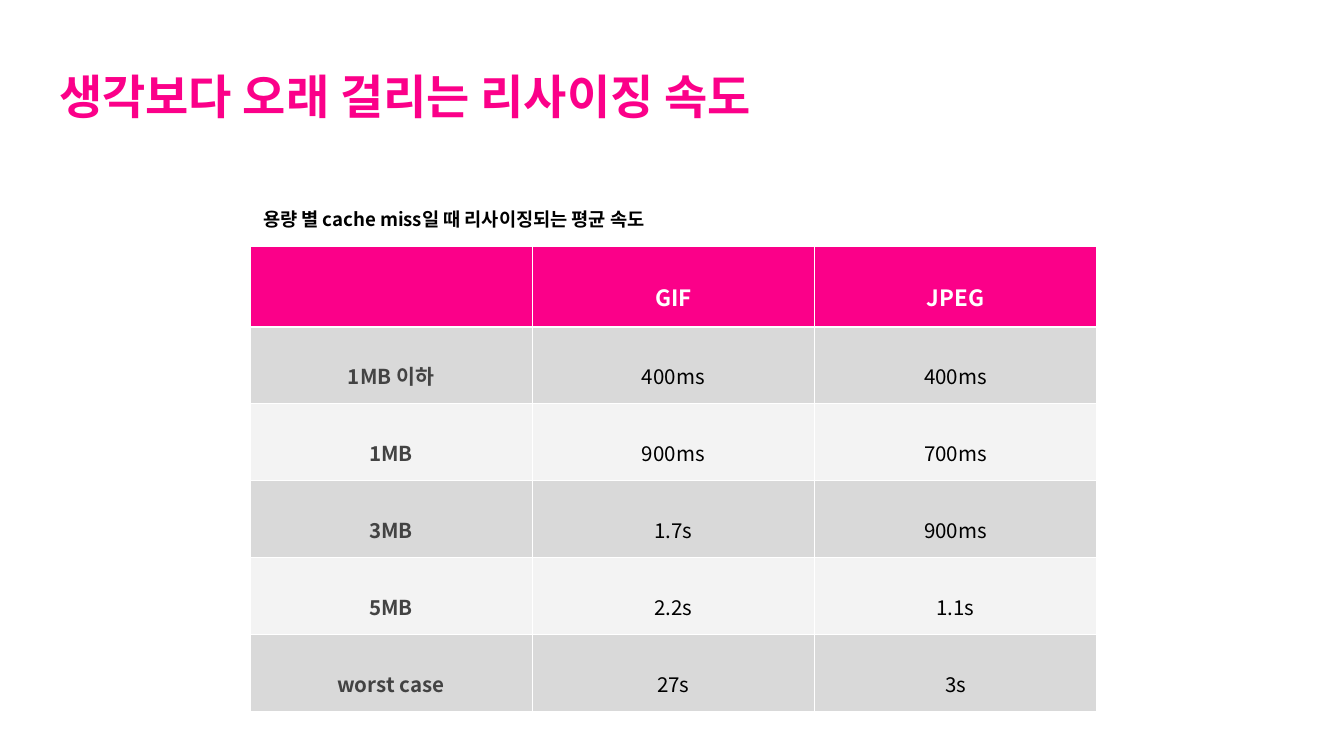
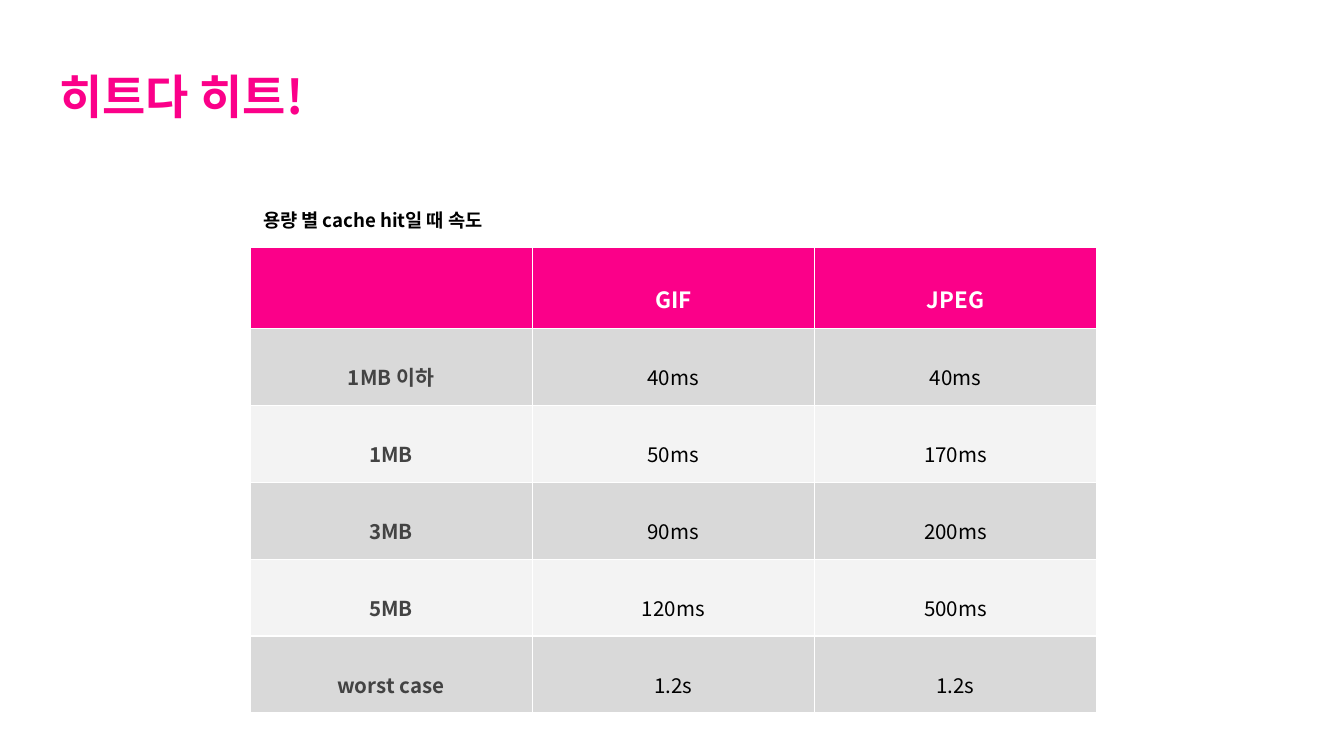
from dataclasses import dataclass

from lxml.etree import SubElement
from pptx import Presentation
from pptx.dml.color import RGBColor
from pptx.enum.text import MSO_ANCHOR as Anchor, MSO_AUTO_SIZE as AutoSize, PP_ALIGN as Align
from pptx.oxml.ns import qn
from pptx.util import Inches, Pt

FONT = "Noto Sans CJK KR"
PINK, WHITE, BLACK = "FB0089", "FFFFFF", "000000"
LABEL_GRAY, DARK_BAND, LIGHT_BAND = "434343", "D9D9D9", "F3F3F3"

SLIDE_WIDTH = 10
LEFT, COLUMN_WIDTH = 1.86, 2.1
HEADER_HEIGHT, ROW_HEIGHT = 0.48, 0.47
CAPTION_HEIGHT = 0.37
FORMATS = ("", "GIF", "JPEG")
SIZES = ("1MB 이하", "1MB", "3MB", "5MB", "worst case")


@dataclass(frozen=True)
class SpeedSlide:
    title: str
    caption: str
    caption_top: float
    caption_width: float
    gif: tuple[str, ...]
    jpeg: tuple[str, ...]


SLIDES = (
    SpeedSlide("생각보다 오래 걸리는 리사이징 속도",
               "용량 별 cache miss일 때 리사이징되는 평균 속도", 1.46, 4.3,
               ("400ms", "900ms", "1.7s", "2.2s", "27s"),
               ("400ms", "700ms", "900ms", "1.1s", "3s")),
    SpeedSlide("히트다 히트!", "용량 별 cache hit일 때 속도", 1.47, 2.01,
               ("40ms", "50ms", "90ms", "120ms", "1.2s"),
               ("40ms", "170ms", "200ms", "500ms", "1.2s")),
)


def color(value: str) -> RGBColor:
    return RGBColor.from_string(value)


def write(frame, text: str, size: float, ink: str, bold: bool = True,
          align=Align.LEFT, spacing: float = 1.0) -> None:
    """Fill a text frame with one formatted paragraph."""
    frame.text = text
    paragraph = frame.paragraphs[0]
    paragraph.alignment = align
    paragraph.line_spacing = spacing
    for run in paragraph.runs:
        run.font.size = Pt(size)
        run.font.name = FONT
        run.font.bold = bold
        run.font.color.rgb = color(ink)
        # Hangul takes its typeface from the East Asian slot; kerning is off
        properties = run.font._element
        SubElement(properties, qn("a:ea"), typeface=FONT)
        properties.set("kern", "0")


def set_frame(frame, auto_size) -> None:
    frame.word_wrap = True
    frame.auto_size = auto_size
    frame.vertical_anchor = Anchor.TOP
    frame.margin_left = frame.margin_right = Inches(0.1)
    frame.margin_top = frame.margin_bottom = Inches(0.1)


def add_title(slide, text: str) -> None:
    title = slide.shapes.title
    title.left, title.top = Inches(0.34), Inches(0.34)
    title.width, title.height = Inches(9.32), Inches(0.63)
    set_frame(title.text_frame, AutoSize.NONE)
    write(title.text_frame, text, 25.2, PINK, spacing=1.15)


def add_borders(cell) -> None:
    properties = cell._tc.get_or_add_tcPr()
    for side in ("lnL", "lnR", "lnT", "lnB"):
        border = SubElement(properties, qn(f"a:{side}"), w=str(Pt(0.75)))
        SubElement(SubElement(border, qn("a:solidFill")), qn("a:srgbClr"), val=WHITE)


def style_cell(cell, text: str, row: int, column: int) -> None:
    add_borders(cell)
    cell.margin_left = cell.margin_right = cell.margin_bottom = Inches(0.1)
    cell.margin_top = Inches(0.14)
    if row == 0:
        band, ink, size = PINK, WHITE, 12
    else:
        band = DARK_BAND if row % 2 else LIGHT_BAND
        ink, size = (BLACK if column else LABEL_GRAY), 11
    cell.fill.solid()
    cell.fill.fore_color.rgb = color(band)
    if text:
        write(cell.text_frame, text, size, ink, row == 0 or column == 0, Align.CENTER, 1.5)


def add_speed_table(slide, speeds: SpeedSlide) -> None:
    rows = [FORMATS, *zip(SIZES, speeds.gif, speeds.jpeg)]
    heights = [HEADER_HEIGHT] + [ROW_HEIGHT] * len(SIZES)
    table = slide.shapes.add_table(
        len(rows), len(FORMATS), Inches(LEFT), Inches(speeds.caption_top + CAPTION_HEIGHT),
        Inches(COLUMN_WIDTH * len(FORMATS)), Inches(sum(heights))).table
    table.first_row = table.horz_banding = False
    for column in table.columns:
        column.width = Inches(COLUMN_WIDTH)
    for r, (texts, height) in enumerate(zip(rows, heights)):
        table.rows[r].height = Inches(height)
        for c, text in enumerate(texts):
            style_cell(table.cell(r, c), text, r, c)


def add_caption(slide, speeds: SpeedSlide) -> None:
    caption = slide.shapes.add_textbox(Inches(LEFT), Inches(speeds.caption_top),
                                       Inches(speeds.caption_width), Inches(CAPTION_HEIGHT))
    set_frame(caption.text_frame, AutoSize.SHAPE_TO_FIT_TEXT)
    write(caption.text_frame, speeds.caption, 10, BLACK)


def main() -> None:
    deck = Presentation()
    # Widescreen, 16:9
    deck.slide_width, deck.slide_height = Inches(SLIDE_WIDTH), Inches(SLIDE_WIDTH * 9 / 16)
    title_only = deck.slide_layouts[5]
    for speeds in SLIDES:
        slide = deck.slides.add_slide(title_only)
        add_title(slide, speeds.title)
        add_speed_table(slide, speeds)
        add_caption(slide, speeds)
    deck.save("out.pptx")


if __name__ == "__main__":
    main()
